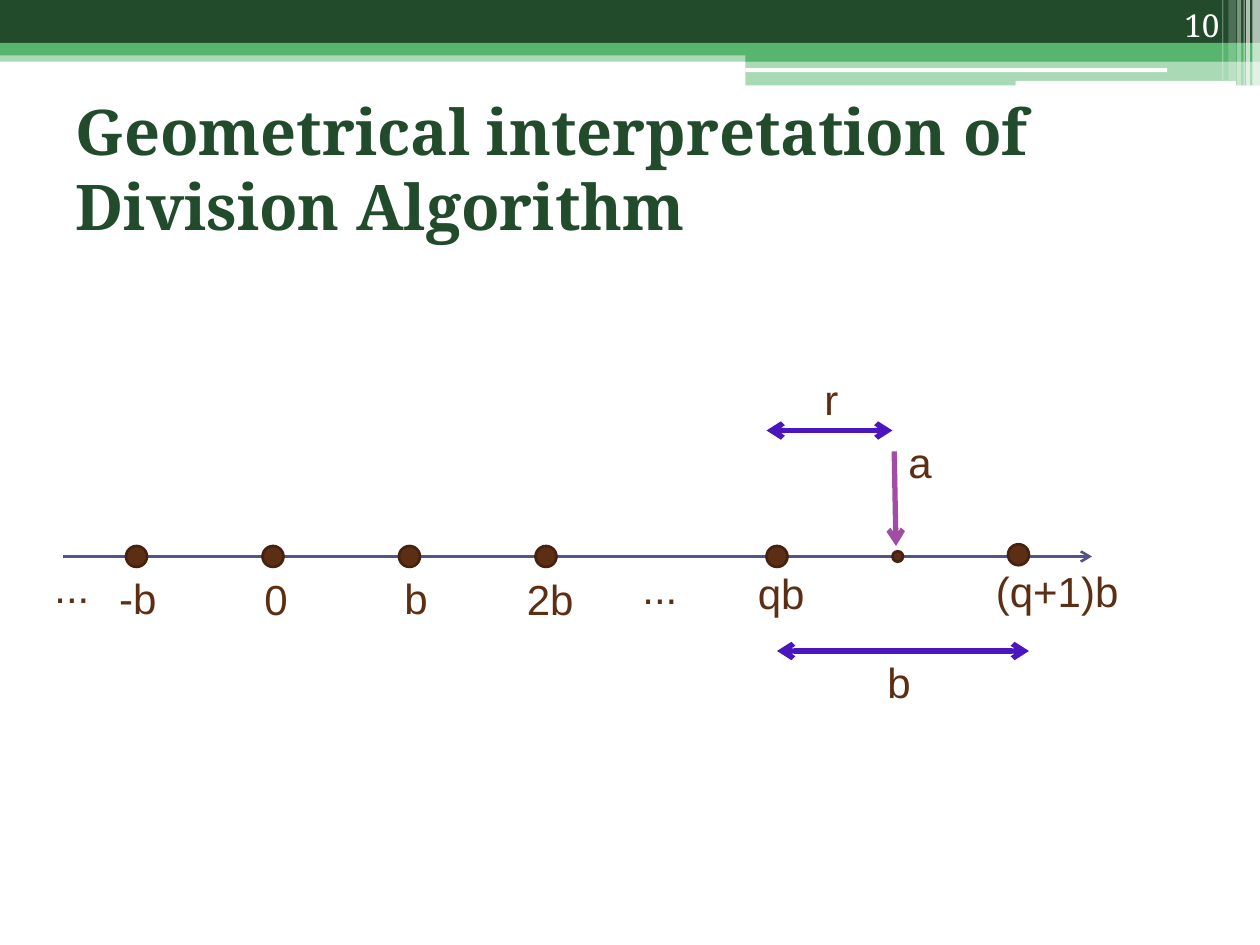
from pptx import Presentation
from pptx.dml.color import RGBColor
from pptx.enum import shapes, text
from pptx.oxml import ns
from pptx.util import Pt
from lxml import etree

DARK, GREEN, WHITE = "214B2B", "57B56D", "FFFFFF"
BROWN, BROWN_EDGE, AXIS, VIOLET, PURPLE = "5C2E14", "44220F", "53548A", "4B16BE", "A04DA3"
SHAPE = shapes.MSO_SHAPE


def color(hex_string):
    """Turn a hex string into a colour."""
    return RGBColor.from_string(hex_string)


def write(shape, words, size=24, font="Arial", ink=BROWN, bold=False, align="LEFT", anchor="TOP", wrap=True):
    """Put formatted text into a shape."""
    frame = shape.text_frame
    frame.auto_size = text.MSO_AUTO_SIZE.NONE
    frame.word_wrap = wrap
    frame.vertical_anchor = getattr(text.MSO_ANCHOR, anchor)
    paragraph = frame.paragraphs[0]
    paragraph.alignment = getattr(text.PP_ALIGN, align)
    run = paragraph.add_run()
    run.text = words
    run.font.size = Pt(size)
    run.font.name = font
    run.font.bold = bold
    run.font.color.rgb = color(ink)


def add_text(slide, box, words, **options):
    """Add a text box."""
    write(slide.shapes.add_textbox(*map(Pt, box)), words, **options)


def add_figure(slide, kind, box, fill, opacity=100, edge=None):
    """Add a filled preset shape."""
    shape = slide.shapes.add_shape(kind, *map(Pt, box))
    shape.shadow.inherit = False
    shape.fill.solid()
    shape.fill.fore_color.rgb = color(fill)
    if opacity < 100:
        tint = shape.fill._xPr.find(".//" + ns.qn("a:srgbClr"))
        etree.SubElement(tint, ns.qn("a:alpha")).set("val", str(opacity * 1000))
    if edge:
        shape.line.color.rgb = color(edge)
        shape.line.width = Pt(1.5)
    else:
        shape.line.fill.background()


def add_arrow(slide, start, end, ink, width, both=False):
    """Add a straight arrow with one or two heads."""
    connector = slide.shapes.add_connector(shapes.MSO_CONNECTOR.STRAIGHT, *map(Pt, start + end))
    connector.line.color.rgb = color(ink)
    connector.line.width = Pt(width)
    line = connector.line._get_or_add_ln()
    for name in ("headEnd", "tailEnd") if both else ("tailEnd",):
        etree.SubElement(line, ns.qn("a:" + name)).set("type", "arrow")
    etree.SubElement(connector._element.spPr, ns.qn("a:effectLst"))


def add_banner(slide, left, top, width):
    """Draw the green bands and the pale stripes along the top edge."""
    step = left + 426
    bands = [
        (SHAPE.RECTANGLE, left, 28.8, width, 6.5, GREEN, 50),
        (SHAPE.RECTANGLE, left, 0, width, 24.5, DARK, 100),
        (SHAPE.RECTANGLE, left, 24.5, width, 7.2, GREEN, 100),
        (SHAPE.RECTANGLE, step, 28, width - 426, 7.2, GREEN, 100),
        (SHAPE.RECTANGLE, step, 34.6, width - 426, 14.2, GREEN, 50),
        (SHAPE.ROUNDED_RECTANGLE, step, 39, 241, 2.2, WHITE, 100),
        (SHAPE.ROUNDED_RECTANGLE, left + 580.3, 46.2, 126, 2.8, WHITE, 100),
    ]
    for kind, x, y, band_width, height, fill, opacity in bands:
        add_figure(slide, kind, (x, top + y, band_width, height), fill, opacity)
    stripes = [(4.3, 4.3, 49, 65), (7.9, 2.2, 49, 65), (9.4, 0.7, 49, 60),
               (13, 2.2, 49, 40), (18, 4.3, 46, 20), (21.6, 0.7, 46, 30)]
    for inset, stripe_width, height, opacity in stripes:
        box = (left + width - inset, top, stripe_width, height)
        add_figure(slide, SHAPE.RECTANGLE, box, WHITE, opacity)


def add_heading(slide, box, words):
    """Place and format the title placeholder."""
    title = slide.shapes.title
    title.left, title.top, title.width, title.height = map(Pt, box)
    write(title, words, size=36, font="Noto Serif", ink=DARK, bold=True, anchor="MIDDLE")


def add_number_line(slide, left, top, width):
    """Draw the axis with its points, labels and measuring arrows."""
    axis = top + 108
    add_arrow(slide, (left, axis), (left + width, axis), AXIS, 1.5)
    points = [(42 + 78 * index, 0, 12) for index in range(4)]
    points += [(408, 0, 12), (546, -1, 12), (477, 0, 6)]
    for x, y, size in points:
        box = (left + x - size / 2, axis + y - size / 2, size, size)
        add_figure(slide, SHAPE.OVAL, box, BROWN, edge=BROWN_EDGE)

    arrows = [((475, 48), (476, 102), PURPLE, False),
              ((402, 36), (474, 36), VIOLET, True),
              ((408, 162), (552, 162), VIOLET, True)]
    for start, end, ink, both in arrows:
        add_arrow(slide, (left + start[0], top + start[1]), (left + end[0], top + end[1]), ink, 3, both)

    labels = [("...", -12, 107.5, 34.5), ("-b", 25, 113.5, 36), ("0", 108, 114, 28),
              ("b", 188, 113.5, 28), ("2b", 258, 114, 42), ("...", 324, 108, 34.5),
              ("qb", 390, 110.5, 42), ("(q+1)b", 526, 109.5, 86),
              ("a", 476, 36, 28), ("r", 428, 0, 28), ("b", 464, 161.5, 28)]
    for words, x, y, label_width in labels:
        add_text(slide, (left + x, top + y, label_width, 36.5), words, wrap=False)


def main():
    """Build and save the slide."""
    presentation = Presentation()
    presentation.slide_width, presentation.slide_height = Pt(720), Pt(540)
    slide = presentation.slides.add_slide(presentation.slide_layouts[5])
    add_banner(slide, 0, 0, 720)
    add_heading(slide, (36, 54, 648, 84), "Geometrical interpretation of Division Algorithm")
    add_number_line(slide, 36, 210, 588)
    add_text(slide, (644, 0, 60, 28.8), "10", size=18, font="Noto Serif", ink=WHITE,
             align="RIGHT", anchor="BOTTOM")
    presentation.save("out.pptx")


if __name__ == "__main__":
    main()
